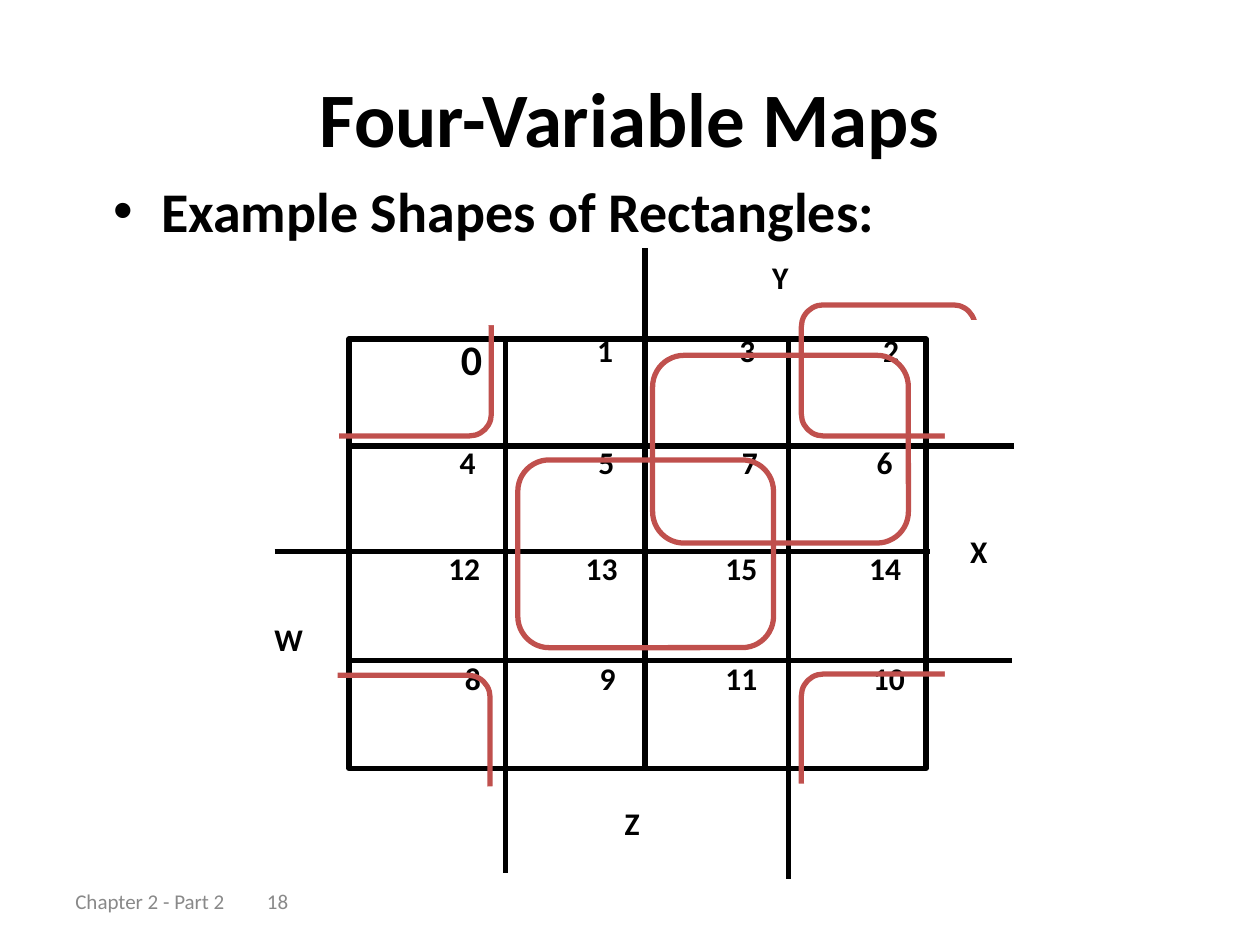
from lxml import etree
from pptx import Presentation
from pptx.dml.color import RGBColor
from pptx.enum.shapes import MSO_CONNECTOR, MSO_SHAPE
from pptx.enum.text import MSO_ANCHOR, MSO_AUTO_SIZE, PP_ALIGN
from pptx.oxml.ns import qn
from pptx.util import Inches, Pt

BLACK = RGBColor(0x00, 0x00, 0x00)
WHITE = RGBColor(0xFF, 0xFF, 0xFF)
GRAY = RGBColor(0x89, 0x89, 0x89)
RED = RGBColor(0xC0, 0x50, 0x4D)
RECT, ROUND = MSO_SHAPE.RECTANGLE, MSO_SHAPE.ROUNDED_RECTANGLE
LINE = MSO_CONNECTOR.STRAIGHT
MID, CENTER = MSO_ANCHOR.MIDDLE, PP_ALIGN.CENTER
GROW, FIXED = MSO_AUTO_SIZE.SHAPE_TO_FIT_TEXT, MSO_AUTO_SIZE.NONE

WIDE, HIGH = 10, 7.5
COLS, ROWS = 100, 75

# Each map row: top of its numbers, then (number, left)
CELLS = [
    (25.8, [("1", 46.4), ("3", 57.7), ("2", 69.1)]),
    (34.7, [("4", 35.5), ("5", 46.5), ("7", 57.9), ("6", 68.6)]),
    (43.1, [("12", 34.6), ("13", 45.5), ("15", 56.6), ("14", 68)]),
    (51.8, [("8", 35.9), ("9", 46.6), ("11", 56.6), ("10", 68.3)]),
]
NAMES = [("X", 76, 41.7), ("Y", 60.3, 20), ("Z", 48.6, 63.3), ("W", 20.8, 48.7)]
STEMS = [(51.2, 19.7, 61.2), (40.1, 27, 69.3), (62.6, 26.7, 69.8)]
BARS = [(21.8, 73.8, 43.8), (27.5, 80.5, 35.4), (27.8, 80.3, 52.4)]
LOOPS = [(51.8, 28.2), (41.1, 36.5)]
# Each corner loop, then the white covers that open its outer sides
CORNERS = [
    ((63.6, 24.2, 13.8), [(75, 25.4, 3.6, 9.6)]),
    ((24.3, 24.2, 14.7), [(21.8, 23.3, 17.8, 2.5), (23, 25.4, 3.9, 9.6)]),
    ((24.2, 53.6, 14.7), [(21.7, 62.4, 17.8, 2.5), (22.9, 53.2, 3.9, 9.6)]),
    ((63.6, 53.5, 13.8), [(63.1, 62.2, 16.7, 2.5), (75, 53.1, 3.6, 9.6)]),
]


class Page:
    """Draws on one slide; lengths are columns and rows of the grid."""
    face = "Calibri"
    width = Pt(3)

    def __init__(self, deck):
        self.slide = deck.slides.add_slide(deck.slide_layouts[5])
        self.shapes = self.slide.shapes

    def grid(self, *spans):
        """Turn alternating column and row counts into lengths."""
        units = (WIDE / COLS, HIGH / ROWS)
        return [Inches(n * units[i % 2]) for i, n in enumerate(spans)]

    def words(self, frame, text, size, bold=True, color=BLACK):
        run = frame.paragraphs[0].add_run()
        run.text = text
        style = {"name": self.face, "size": Pt(size), "bold": bold}
        for key, value in style.items():
            setattr(run.font, key, value)
        run.font.color.rgb = color

    def title(self, text, *spot):
        head = self.shapes.title
        for key, value in zip(("left", "top", "width", "height"), self.grid(*spot)):
            setattr(head, key, value)
        head.text_frame.vertical_anchor = MID
        head.text_frame.paragraphs[0].alignment = CENTER
        self.words(head.text_frame, text, 44)

    def frame(self, *spot, fit=FIXED):
        frame = self.shapes.add_textbox(*self.grid(*spot)).text_frame
        frame.word_wrap = True
        frame.auto_size = fit
        return frame

    def label(self, text, left, top, size=18):
        wide = 4.8 if len(text) == 1 else 7.3
        frame = self.frame(left, top, wide, 5 if size > 18 else 4, fit=GROW)
        self.words(frame, text, size)

    def bullet(self, text, *spot):
        frame = self.frame(*spot)
        props = frame.paragraphs[0]._p.get_or_add_pPr()
        props.set("marL", str(Inches(0.38)))
        props.set("indent", str(-Inches(0.38)))
        etree.SubElement(props, qn("a:buFont"), typeface="Arial")
        etree.SubElement(props, qn("a:buChar"), char="•")
        self.words(frame, text, 32)

    def footer(self, text, stop, *spot):
        frame = self.frame(*spot)
        frame.vertical_anchor = MID
        props = frame.paragraphs[0]._p.get_or_add_pPr()
        tabs = etree.SubElement(props, qn("a:tabLst"))
        etree.SubElement(tabs, qn("a:tab"), pos=str(self.grid(stop)[0]), algn="l")
        self.words(frame, text, 12, bold=False, color=GRAY)

    def line(self, *ends):
        line = self.shapes.add_connector(LINE, *self.grid(*ends))
        line.line.color.rgb = BLACK
        line.line.width = self.width
        etree.SubElement(line._element.spPr, qn("a:effectLst"))

    def outline(self, kind, color, *spot):
        shape = self.shapes.add_shape(kind, *self.grid(*spot))
        shape.shadow.inherit = False
        shape.fill.background()
        shape.line.color.rgb = color
        shape.line.width = self.width
        return shape

    def loop(self, *spot):
        self.outline(ROUND, RED, *spot).adjustments[0] = 0.167

    def cover(self, *spot):
        shape = self.shapes.add_shape(RECT, *self.grid(*spot))
        shape.shadow.inherit = False
        shape.fill.solid()
        shape.fill.fore_color.rgb = WHITE
        shape.line.fill.background()


def main():
    deck = Presentation()
    deck.slide_width, deck.slide_height = Inches(WIDE), Inches(HIGH)
    page = Page(deck)
    page.footer("Chapter 2 - Part 2\t18", 15.2, 5, 69.5, 23.3, 4)
    page.title("Four-Variable Maps", 5, 3, 90, 12.5)
    page.bullet("Example Shapes of Rectangles:", 8, 13.5, 85, 51.7)

    for x, top, base in STEMS:
        page.line(x, top, x, base)
    page.label("0", 35.6, 26, size=24)
    for top, cells in CELLS:
        for text, left in cells:
            page.label(text, left, top)
    page.outline(RECT, BLACK, 27.7, 26.9, 45.8, 34.1)
    for left, right, y in BARS:
        page.line(left, y, right, y)
    for name in NAMES:
        page.label(*name)

    for left, top in LOOPS:
        page.loop(left, top, 20.3, 14.9)
    for ring, covers in CORNERS:
        page.loop(*ring, 10.4)
        for spot in covers:
            page.cover(*spot)
    deck.save("out.pptx")


if __name__ == "__main__":
    main()
